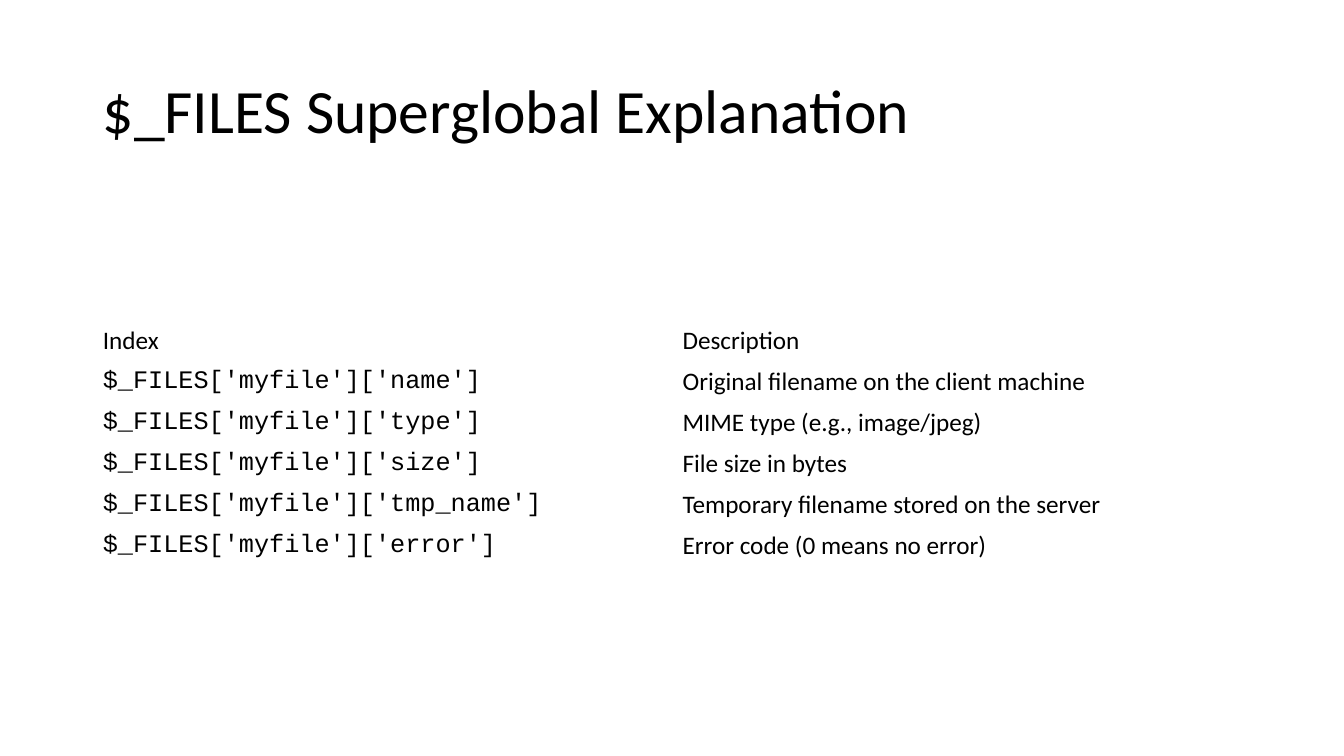
from pptx import Presentation
from pptx import util as u
from pptx.dml.color import RGBColor
from pptx.enum import text

ROWS = [
    ("Index", "Description"),
    ("$_FILES['myfile']['name']", "Original filename on the client machine"),
    ("$_FILES['myfile']['type']", "MIME type (e.g., image/jpeg)"),
    ("$_FILES['myfile']['size']", "File size in bytes"),
    ("$_FILES['myfile']['tmp_name']", "Temporary filename stored on the server"),
    ("$_FILES['myfile']['error']", "Error code (0 means no error)"),
]


def colour(value):
    return RGBColor.from_string(value)


def write(frame, words, size, font="Calibri", ink="000000", spacing=1.0):
    para = frame.paragraphs[0]
    para.alignment = text.PP_ALIGN.LEFT
    para.line_spacing = spacing
    span = para.add_run()
    span.text = words
    span.font.size = u.Pt(size)
    span.font.name = font
    span.font.color.rgb = colour(ink)


class SlideBuilder:
    """Holds the style, the two-column grid and the current slide."""

    left, column, row = u.Inches(0.92), u.Inches(5.75), u.Inches(0.4)
    prose, code = "Calibri", "Courier New"
    title_size, table_size = 44, 18

    def __init__(self, deck):
        self.page = deck.slides.add_slide(deck.slide_layouts[5])
        fill = self.page.background.fill
        fill.solid()
        fill.fore_color.rgb = colour("FFFFFF")

    def title(self, words, top, height):
        box = self.page.shapes.title
        box.left, box.top = self.left, top
        box.width, box.height = 2 * self.column, height
        frame = box.text_frame
        frame.word_wrap = True
        frame.auto_size = text.MSO_AUTO_SIZE.NONE
        frame.vertical_anchor = text.MSO_ANCHOR.MIDDLE
        write(frame, words, self.title_size, self.prose, spacing=0.9)

    def table(self, rows, top):
        """Plain table whose first column, below the heading, is code."""
        table = self.page.shapes.add_table(
            len(rows), 2, self.left, top, 2 * self.column, len(rows) * self.row
        ).table
        table.first_row = table.horz_banding = False
        for r, row in enumerate(rows):
            for c, words in enumerate(row):
                cell = table.cell(r, c)
                cell.fill.background()
                cell.vertical_anchor = text.MSO_ANCHOR.MIDDLE
                font = self.code if r > 0 and c == 0 else self.prose
                write(cell.text_frame, words, self.table_size, font)


def main():
    deck = Presentation()
    deck.slide_width, deck.slide_height = u.Inches(13.33), u.Inches(7.5)
    slide = SlideBuilder(deck)
    slide.title("$_FILES Superglobal Explanation", SlideBuilder.row, u.Inches(1.45))
    slide.table(ROWS, u.Inches(3.18))
    deck.save("out.pptx")


if __name__ == "__main__":
    main()
